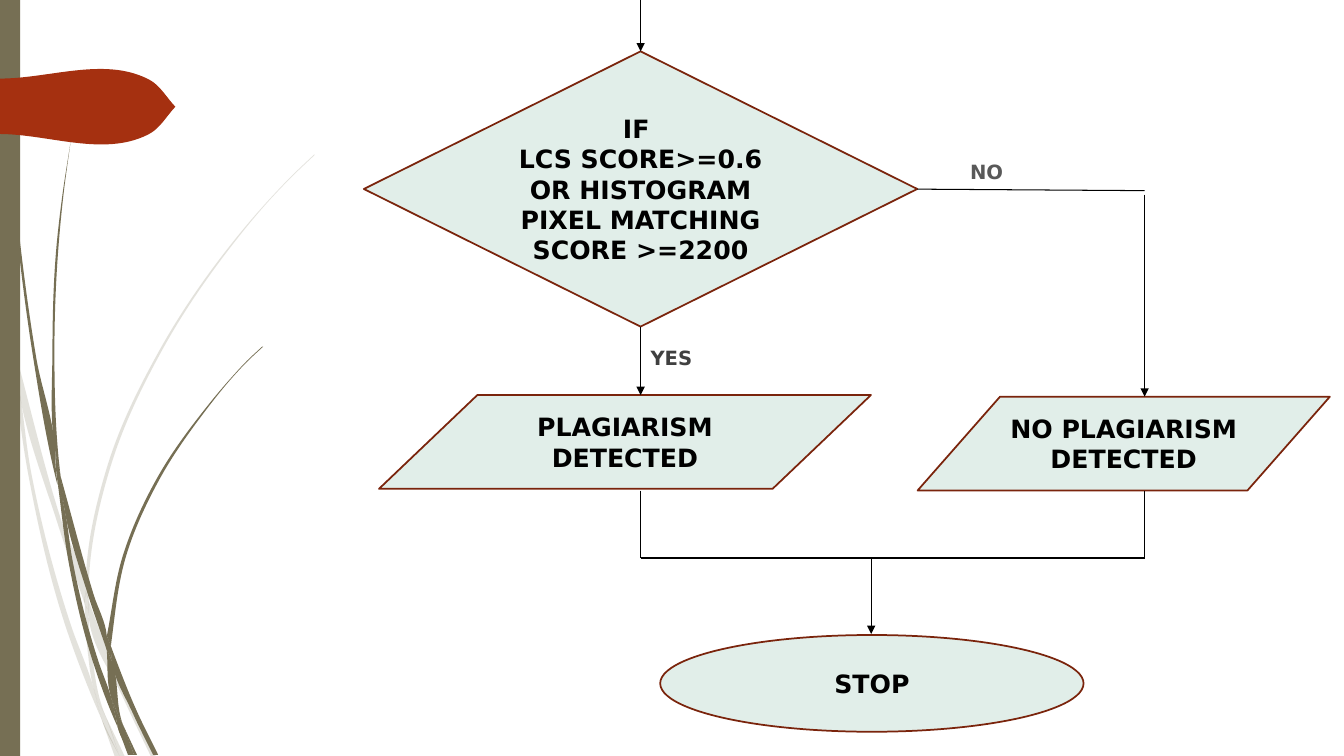
"""Build the plagiarism decision flowchart slide with its grass ornament."""
from dataclasses import dataclass

from lxml import etree
from pptx import Presentation
from pptx import util as u
from pptx.dml.color import RGBColor
from pptx.enum import shapes as kinds, text as texts
from pptx.oxml.ns import qn


@dataclass(frozen=True)
class Theme:
    font: str = "DejaVu Sans"
    olive: str = "766F54"
    ribbon: str = "A53010"
    step_fill: str = "E1EEE9"
    step_edge: str = "7A240C"
    ink: str = "000000"
    step_size: float = 18
    label_size: float = 14
    edge_width: float = 1.25
    flow_width: float = 0.75
    pale_opacity: int = 20


THEME = Theme()
SLIDE_W, SLIDE_H = 960, 540
OUTLINE_UNIT = 0.72
SMOOTH_COSINE = 0.85

YES_AXIS, NO_AXIS, STOP_AXIS = 457.6, 817.6, 622.3
MERGE_Y = 398.6

PRESET = kinds.MSO_SHAPE
STEPS = [
    (PRESET.DIAMOND, (259.9, 36.7, 395.3, 196.6),
     ["IF ", "LCS SCORE>=0.6 OR HISTOGRAM PIXEL MATCHING SCORE >=2200"]),
    (PRESET.FLOWCHART_DATA, (270.7, 282.2, 351.4, 67), ["PLAGIARISM DETECTED"]),
    (PRESET.FLOWCHART_DATA, (655.4, 283.4, 294.5, 67), ["NO PLAGIARISM DETECTED"]),
    (PRESET.OVAL, (471.6, 453.6, 302.4, 69.1), ["STOP"]),
]

FLOWS = [
    ((YES_AXIS, 0), (YES_AXIS, 36.7), True),
    ((YES_AXIS, 233.3), (YES_AXIS, 282.2), True),
    ((655.2, 135.1), (NO_AXIS, 136.2), False),
    ((NO_AXIS, 139), (NO_AXIS, 283.4), True),
    ((YES_AXIS, 350.4), (YES_AXIS, MERGE_Y), False),
    ((NO_AXIS, 350.4), (NO_AXIS, MERGE_Y), False),
    ((YES_AXIS, MERGE_Y), (NO_AXIS, MERGE_Y), False),
    ((STOP_AXIS, MERGE_Y), (STOP_AXIS, 452.9), True),
]

LABELS = [
    ("YES", (YES_AXIS, 243.4, 56.2, 28.1), "404040"),
    ("NO", (685.8, 110.5, 56.2, 28.1), "595959"),
]

PALE_GRASS = [
    [(11, 350), (9, 322), (0, 282), (0, 299), (10, 344)],
    [(58, 522), (84, 599), (85, 586), (62, 520), (14, 345), (17, 376)],
    [(92, 607), (88, 596), (88, 610), (123, 694), (150, 751), (155, 751), (127, 692)],
    [(119, 751), (124, 751), (105, 711)],
    [(93, 683), (70, 619), (31, 469), (17, 376), (11, 350), (28, 470), (65, 621), (92, 693),
     (101, 714), (99, 707)],
    [(84, 599), (87, 646), (93, 683), (96, 692), (105, 711), (103, 706), (91, 646), (88, 610),
     (88, 608)],
    [(88, 584), (110, 462), (160, 349), (229, 245), (268, 198), (290, 175), (312, 154),
     (312, 153), (289, 175), (268, 197), (228, 244), (158, 348), (107, 461), (85, 584),
     (85, 586), (88, 596)],
    [(101, 714), (114, 751), (119, 751)],
    [(88, 608), (88, 610), (88, 596), (85, 586), (84, 599)],
    [(96, 692), (93, 683), (99, 707), (101, 714), (119, 751), (105, 711)],
]

DARK_GRASS = [
    [(7, 110), (17, 233), (33, 355), (56, 477), (57, 481), (55, 457), (55, 453), (36, 355),
     (19, 232), (8, 109), (5, 48), (4, 0), (3, 0), (4, 48)],
    [(88, 592), (106, 645), (106, 631), (93, 590), (60, 472), (64, 505)],
    [(113, 649), (110, 641), (111, 656), (132, 708), (152, 749), (157, 749), (136, 706)],
    [(110, 691), (98, 657), (72, 556), (64, 505), (57, 477), (68, 557), (93, 659), (111, 708),
     (117, 722), (116, 717)],
    [(60, 472), (58, 453), (54, 349), (58, 245), (63, 193), (70, 141), (62, 193), (56, 245),
     (52, 349), (55, 449)],
    [(133, 749), (136, 749), (122, 719)],
    [(57, 477), (64, 505), (60, 472), (55, 449), (55, 453)],
    [(111, 633), (125, 552), (158, 476), (205, 406), (231, 374), (245, 359), (261, 344),
     (260, 344), (245, 358), (231, 373), (204, 405), (156, 474), (122, 551), (106, 631),
     (110, 641)],
    [(117, 722), (127, 749), (131, 749)],
    [(106, 645), (110, 691), (116, 706), (122, 719), (121, 716), (111, 656), (109, 651)],
    [(106, 645), (109, 651), (111, 656), (110, 641), (106, 631)],
    [(116, 706), (110, 691), (116, 717), (117, 722), (130, 749), (133, 749), (122, 719)],
]

RIBBON = [(174, 106), (148, 133), (146, 134), (0, 133), (0, 78), (146, 78), (148, 79)]


def rgb(code):
    return RGBColor.from_string(code)


def box(bounds):
    return [u.Pt(length) for length in bounds]


def headings(knots):
    """Give each knot its incoming and outgoing direction, shared where smooth."""
    chords = [knots[(i + 1) % len(knots)] - knot for i, knot in enumerate(knots)]
    for i, ahead in enumerate(chords):
        behind = chords[i - 1]
        arriving, leaving = behind / abs(behind), ahead / abs(ahead)
        if (arriving * leaving.conjugate()).real > SMOOTH_COSINE:
            mean = (arriving * abs(ahead) + leaving * abs(behind)) / (abs(ahead) + abs(behind))
            arriving = leaving = mean / abs(mean)
        yield arriving, leaving


def bend(outline):
    edges = list(outline._element.iter(qn("a:lnTo")))
    ends = [complex(int(edge[0].get("x")), int(edge[0].get("y"))) for edge in edges]
    turns = list(headings(ends))
    for i, edge in enumerate(edges):
        reach = abs(ends[i] - ends[i - 1]) / 3
        handles = (ends[i - 1] + turns[i - 1][1] * reach, ends[i] - turns[i][0] * reach)
        edge.tag = qn("a:cubicBezTo")
        for place, handle in enumerate(handles):
            edge.insert(place, etree.Element(
                qn("a:pt"), x=str(round(handle.real)), y=str(round(handle.imag))))


def paint(part, fill, edge=None):
    part.shadow.inherit = False
    part.fill.solid()
    part.fill.fore_color.rgb = rgb(fill)
    if edge:
        part.line.color.rgb = rgb(edge)
        part.line.width = u.Pt(THEME.edge_width)
    else:
        part.line.fill.background()


def write(paragraph, words, size, color):
    run = paragraph.add_run()
    run.text = words
    run.font.name, run.font.size, run.font.bold = THEME.font, u.Pt(size), True
    run.font.color.rgb = rgb(color)


def add_outline(canvas, knots, color, opacity=None):
    corners = [box((x * OUTLINE_UNIT, y * OUTLINE_UNIT)) for x, y in knots]
    pen = canvas.shapes.build_freeform(*corners[0], scale=1.0)
    pen.add_line_segments(corners[1:] + corners[:1], close=True)
    outline = pen.convert_to_shape()
    bend(outline)
    paint(outline, color)
    if opacity:
        tint = outline._element.spPr.find(qn("a:solidFill")).find(qn("a:srgbClr"))
        etree.SubElement(tint, qn("a:alpha"), val=str(opacity * 1000))


def add_step(slide, preset, bounds, lines):
    step = slide.shapes.add_shape(preset, *box(bounds))
    paint(step, THEME.step_fill, THEME.step_edge)
    frame = step.text_frame
    frame.word_wrap = True
    frame.vertical_anchor = texts.MSO_ANCHOR.MIDDLE
    for i, words in enumerate(lines):
        paragraph = frame.add_paragraph() if i else frame.paragraphs[0]
        paragraph.alignment = texts.PP_ALIGN.CENTER
        write(paragraph, words, THEME.step_size, THEME.ink)


def add_flow(slide, start, end, arrow):
    flow = slide.shapes.add_connector(kinds.MSO_CONNECTOR.STRAIGHT, *box(start + end))
    flow.line.color.rgb = rgb(THEME.ink)
    flow.line.width = u.Pt(THEME.flow_width)
    if arrow:
        etree.SubElement(flow.line._get_or_add_ln(), qn("a:tailEnd"), type="triangle")
    etree.SubElement(flow._element.spPr, qn("a:effectLst"))


def add_label(slide, words, bounds, color):
    label = slide.shapes.add_textbox(*box(bounds))
    label.text_frame.word_wrap = True
    paragraph = label.text_frame.paragraphs[0]
    paragraph.space_before = u.Pt(10)
    write(paragraph, words, THEME.label_size, color)


def main():
    deck = Presentation()
    deck.slide_width, deck.slide_height = box((SLIDE_W, SLIDE_H))
    slide = deck.slides.add_slide(deck.slide_layouts[6])
    for grass, opacity in ((PALE_GRASS, THEME.pale_opacity), (DARK_GRASS, None)):
        tuft = slide.shapes.add_group_shape()
        for blade in grass:
            add_outline(tuft, blade, THEME.olive, opacity)
    side_bar = slide.shapes.add_shape(PRESET.RECTANGLE, *box((0, 0, 14.4, SLIDE_H)))
    paint(side_bar, THEME.olive)
    add_outline(slide, RIBBON, THEME.ribbon)
    for adder, parts in ((add_step, STEPS), (add_flow, FLOWS), (add_label, LABELS)):
        for part in parts:
            adder(slide, *part)
    deck.save("out.pptx")


if __name__ == "__main__":
    main()
